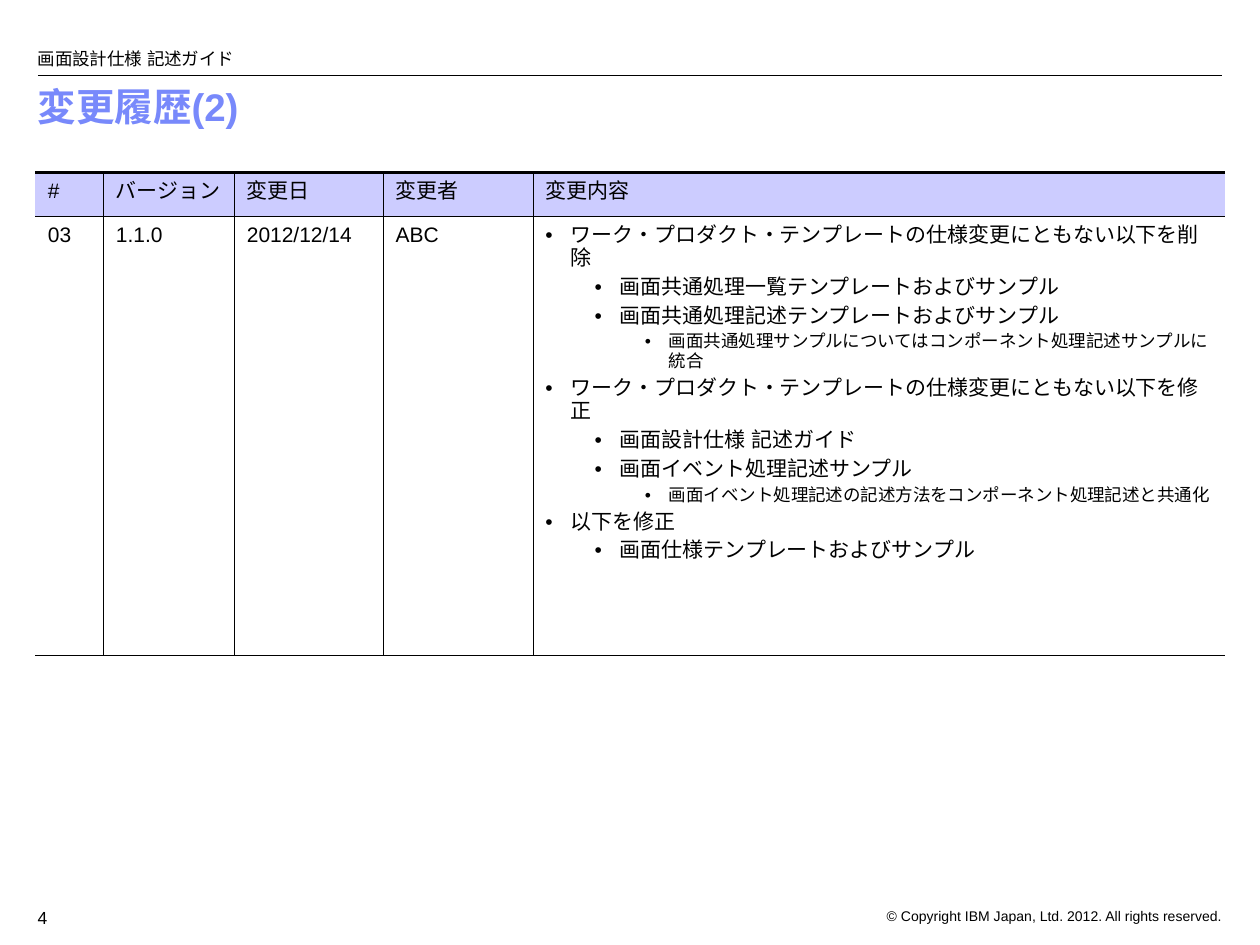
"""Build the change history slide of a screen design guide."""
from lxml import etree
from pptx import Presentation
from pptx import util as u
from pptx.dml.color import RGBColor
from pptx.enum import shapes, text
from pptx.oxml import parse_xml
from pptx.oxml.ns import nsdecls, qn

COLORS = {"black": "000000", "title": "7889FB", "header": "CCCCFF"}
FONT = "Arial"
THICK, THIN = 1.5, 0.45


def add_run(paragraph, content, size, color="black", bold=False):
    run = paragraph.add_run()
    run.text = content
    run.font.size = u.Pt(size)
    run.font.bold = bold
    run.font.color.rgb = RGBColor.from_string(COLORS[color])
    run.font.name = FONT
    etree.SubElement(run._r.get_or_add_rPr(), qn("a:ea"), typeface=FONT)


def set_borders(cell, **widths):
    properties = cell._tc.get_or_add_tcPr()
    for position, side in enumerate("LRTB"):
        width = widths[side]
        color = f'<a:solidFill><a:srgbClr val="{COLORS["black"]}"/></a:solidFill>'
        properties.insert(position, parse_xml(
            f'<a:ln{side} {nsdecls("a")} w="{u.Pt(width)}">'
            f'{color if width else "<a:noFill/>"}</a:ln{side}>'))


presentation = Presentation()
presentation.slide_width = u.Inches(10)
presentation.slide_height = u.Inches(7.5)
slide = presentation.slides.add_slide(presentation.slide_layouts[5])

rule = slide.shapes.add_connector(
    shapes.MSO_CONNECTOR.STRAIGHT, u.Inches(0.3), u.Inches(0.6), u.Inches(9.7), u.Inches(0.6))
rule.line.color.rgb = RGBColor.from_string(COLORS["black"])
rule.line.width = u.Pt(0.75)
etree.SubElement(rule._element.spPr, qn("a:effectLst"))

title = slide.shapes.title
title.left, title.top = u.Inches(0.2), u.Inches(0.65)
title.width, title.height = u.Inches(9.5), u.Inches(0.5)
title.text_frame.vertical_anchor = text.MSO_ANCHOR.TOP
title.text_frame.auto_size = text.MSO_AUTO_SIZE.NONE
paragraph = title.text_frame.paragraphs[0]
paragraph.alignment = text.PP_ALIGN.LEFT
paragraph.line_spacing = 0.9
add_run(paragraph, "変更履歴(2)", 22, "title", True)

left, right = text.PP_ALIGN.LEFT, text.PP_ALIGN.RIGHT
top, bottom = text.MSO_ANCHOR.TOP, text.MSO_ANCHOR.BOTTOM
labels = [
    ("画面設計仕様 記述ガイド", (0.2, 0.15, 7.48, 0.4), 10, left, bottom, 0),
    ("4", (0.2, 7.15, 0.48, 0.2), 10, left, top, 0.05),
    ("© Copyright IBM Japan, Ltd. 2012. All rights reserved.",
     (6.26, 7.15, 3.54, 0.2), 8, right, top, 0.05),
]
for content, box, size, alignment, anchor, margin in labels:
    frame = slide.shapes.add_textbox(*map(u.Inches, box)).text_frame
    frame.word_wrap = True
    frame.vertical_anchor = anchor
    frame.margin_top = frame.margin_bottom = u.Inches(margin)
    frame.paragraphs[0].alignment = alignment
    add_run(frame.paragraphs[0], content, size)

column_widths = [0.54, 1.04, 1.18, 1.19, 5.49]
row_heights = [0.35, 3.48]
rows = [
    ["#", "バージョン", "変更日", "変更者", "変更内容"],
    ["03", "1.1.0", "2012/12/14", "ABC", ""],
]
changes = [
    (0, "ワーク・プロダクト・テンプレートの仕様変更にともない以下を削除"),
    (1, "画面共通処理一覧テンプレートおよびサンプル"),
    (1, "画面共通処理記述テンプレートおよびサンプル"),
    (2, "画面共通処理サンプルについてはコンポーネント処理記述サンプルに統合"),
    (0, "ワーク・プロダクト・テンプレートの仕様変更にともない以下を修正"),
    (1, "画面設計仕様 記述ガイド"),
    (1, "画面イベント処理記述サンプル"),
    (2, "画面イベント処理記述の記述方法をコンポーネント処理記述と共通化"),
    (0, "以下を修正"),
    (1, "画面仕様テンプレートおよびサンプル"),
]
level_styles = [(0.2, 0.2, 12, 3), (0.59, 0.2, 12, 3), (0.98, 0.19, 10, 2.5)]

table = slide.shapes.add_table(
    len(rows), len(column_widths), u.Inches(0.28), u.Inches(1.37),
    u.Inches(sum(column_widths)), u.Inches(sum(row_heights))).table
table.first_row = table.horz_banding = False
for column, width in zip(table.columns, column_widths):
    column.width = u.Inches(width)
for row, height in zip(table.rows, row_heights):
    row.height = u.Inches(height)

last_column = len(column_widths) - 1
for row_index, values in enumerate(rows):
    for column_index, value in enumerate(values):
        cell = table.cell(row_index, column_index)
        if row_index == 0:
            cell.fill.solid()
            cell.fill.fore_color.rgb = RGBColor.from_string(COLORS["header"])
        else:
            cell.fill.background()
        set_borders(cell, L=THIN if column_index else 0,
                    R=THIN if column_index < last_column else 0,
                    T=THIN if row_index else THICK, B=THIN)
        if value:
            add_run(cell.text_frame.paragraphs[0], value, 12)

frame = table.cell(1, last_column).text_frame
for index, (level, content) in enumerate(changes):
    indent, hanging, size, space = level_styles[level]
    paragraph = frame.add_paragraph() if index else frame.paragraphs[0]
    paragraph.level = level
    properties = paragraph._p.get_or_add_pPr()
    properties.set("marL", str(u.Inches(indent)))
    properties.set("indent", str(-u.Inches(hanging)))
    bullet_color = etree.SubElement(properties, qn("a:buClr"))
    etree.SubElement(bullet_color, qn("a:srgbClr"), val=COLORS["black"])
    etree.SubElement(properties, qn("a:buFont"), typeface=FONT)
    etree.SubElement(properties, qn("a:buChar"), char="•")
    if index:
        paragraph.space_before = u.Pt(space)
    add_run(paragraph, content, size)

presentation.save("out.pptx")
